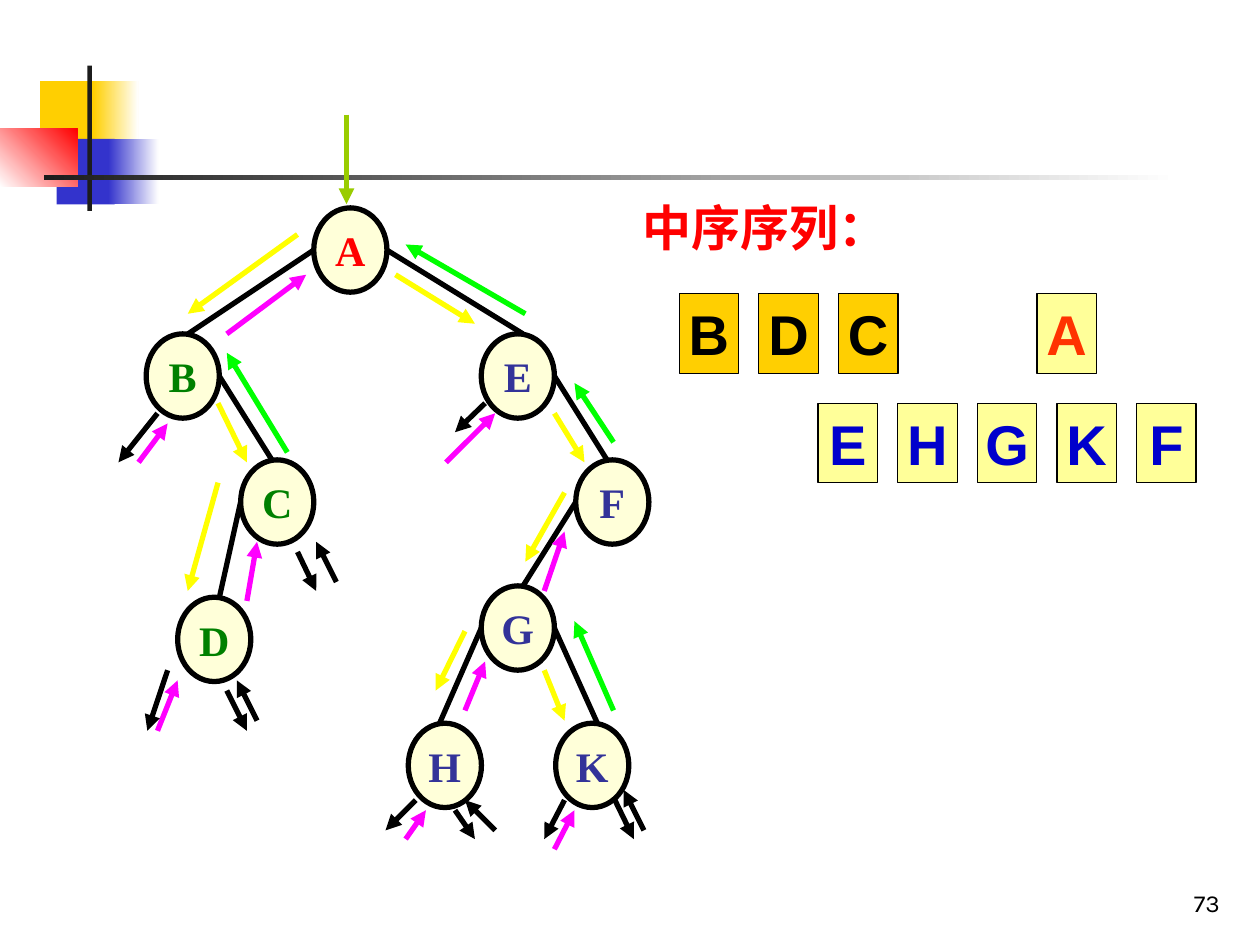
from lxml import etree
from pptx import Presentation
from pptx.dml.color import RGBColor
from pptx.enum.shapes import MSO_CONNECTOR as Link, MSO_SHAPE as Kind
from pptx.enum.text import MSO_ANCHOR as Anchor, PP_ALIGN as Align
from pptx.oxml.ns import qn
from pptx.util import Pt


class Theme:
    black, white, dark = "000000", "FFFFFF", "1C1C1C"
    gold, blue, red = "FFCF01", "3333CC", "FF0000"
    cream, pale = "FFFFD9", "FFFF99"
    left, right = "008000", "333399"
    root, ink = "FF3300", "0000CC"
    down, up, back, start = "FFFF00", "FF00FF", "00FF00", "99CC00"
    node, title, cell, page = 24, 28, 32, 14
    serif, sans, small = "Times New Roman", "Arial", "Karla"


def add_shape(kind, box, fill, line=None):
    """Add a shape with a plain fill, or a (from, to, angle) gradient."""
    shape = slide.shapes.add_shape(kind, *map(Pt, box))
    shape.shadow.inherit = False
    if isinstance(fill, tuple):
        shape.fill.gradient()
        shape.fill.gradient_angle = fill[2]
        for stop, tone in zip(shape.fill.gradient_stops, fill):
            stop.color.rgb = RGBColor.from_string(tone)
    else:
        shape.fill.solid()
        shape.fill.fore_color.rgb = RGBColor.from_string(fill)
    if line:
        shape.line.width = Pt(line)
        shape.line.color.rgb = RGBColor.from_string(Theme.black)
    else:
        shape.line.fill.background()
    return shape


def write(shape, text, face, size, tone, bold=True, align=Align.CENTER,
          anchor=Anchor.MIDDLE, wrap=False):
    frame = shape.text_frame
    frame.text = text
    frame.word_wrap = wrap
    frame.vertical_anchor = anchor
    line = frame.paragraphs[0]
    line.alignment = align
    font = line.runs[0].font
    font.name, font.size, font.bold = face, Pt(size), bold
    font.color.rgb = RGBColor.from_string(tone)


deck = Presentation()
deck.slide_width, deck.slide_height = Pt(720), Pt(540)
slide = deck.slides.add_slide(deck.slide_layouts[6])

# Corner squares and rules
for box, fill in [
    ((23, 46.3, 34.6, 37.4), Theme.gold),
    ((53.3, 46.3, 25.9, 37.4), (Theme.gold, Theme.white, 0)),
    ((32.4, 79.4, 33.1, 37.4), Theme.blue),
    ((62, 79.4, 28.7, 37.4), (Theme.blue, Theme.white, 0)),
    ((0, 73.5, 44.2, 33.3), (Theme.white, Theme.red, 45)),
    ((50, 37.6, 2.5, 83), Theme.dark),
    ((25.2, 100.3, 648, 2.6), (Theme.dark, Theme.white, 0)),
]:
    add_shape(Kind.RECTANGLE, box, fill)

# Tree nodes
wide, high = 41.8, 48.2
nodes = {
    "A": (179.3, 118.8, Theme.red),
    "B": (83.5, 190.8, Theme.left),
    "C": (137.5, 262.8, Theme.left),
    "D": (101.5, 341.3, Theme.left),
    "E": (275, 190.8, Theme.right),
    "F": (329, 262.8, Theme.right),
    "G": (275, 334.8, Theme.right),
    "H": (233.3, 413.3, Theme.right),
    "K": (317.5, 413.3, Theme.right),
}
for name, (x, y, tone) in nodes.items():
    node = add_shape(Kind.OVAL, (x, y, wide, high), Theme.cream, 3)
    write(node, name, Theme.serif, Theme.node, tone)

# In-order sequence
title = slide.shapes.add_textbox(Pt(360), Pt(109.4), Pt(204), Pt(41))
write(title, "中序序列：", Theme.serif, Theme.title, Theme.red,
      align=Align.LEFT, anchor=Anchor.TOP, wrap=True)
for names, x, y, fill, tone in [
    ("BDC", 388.1, 167.8, Theme.gold, Theme.black),
    ("A", 592.5, 167.8, Theme.pale, Theme.root),
    ("EHGKF", 467.5, 230.4, Theme.pale, Theme.ink),
]:
    for i, name in enumerate(names):
        cell = add_shape(Kind.RECTANGLE, (x + 45.5 * i, y, 34, 45.5), fill, 0.75)
        write(cell, name, Theme.sans, Theme.cell, tone)

# Edges run from the side of the parent to the top of the child
strokes = []
for top, low, shift in [("A", "B", 3), ("B", "C", -3), ("C", "D", 3), ("A", "E", 3),
                        ("E", "F", -3), ("F", "G", 3), ("G", "H", -3), ("G", "K", 3)]:
    (px, py, _), (cx, cy, _) = nodes[top], nodes[low]
    side = px + wide if cx > px else px
    ends = (side, py + high / 2, cx + wide / 2 + shift, cy)
    strokes.append((Theme.black, ends, False))

# Walk around the tree
walk = {
    Theme.down: [
        (170, 134, 107.3, 179.3), (124.6, 230.4, 141.1, 264.2),
        (124.6, 275.8, 107.3, 337.7), (226, 157, 271.4, 185),
        (316.8, 236.2, 334, 264.2), (322.6, 281.5, 300.2, 321),
        (265.7, 360.7, 249, 394.6), (311, 383, 322.6, 411.8),
    ],
    Theme.up: [
        (265.7, 406, 277.2, 378), (311, 337.7, 322.6, 303.8),
        (141.1, 343.4, 146.9, 309.6), (129.6, 190.8, 175, 157),
        (90, 417.6, 101.5, 388.8), (231.8, 479.5, 243.4, 463),
        (316.8, 485.3, 328.3, 463), (79.2, 264.2, 95.8, 242),
        (254.9, 264.2, 283, 236.2),
    ],
    Theme.back: [
        (350.6, 406, 328.3, 355), (350.6, 252.7, 328.3, 218.9),
        (300.2, 179.3, 231.8, 139.7), (164.2, 258.5, 129.6, 201.6),
    ],
    Theme.start: [(198, 65.5, 198, 116.6)],
    Theme.black: [
        (95.8, 383, 84.2, 417.6), (129.6, 394.6, 141.1, 417.6),
        (146.9, 411.8, 135.4, 388.8), (170, 315.4, 180.7, 337.7),
        (192.2, 332.6, 180.7, 309.6), (237.6, 457.2, 220.3, 474.5),
        (260, 463, 271.4, 479.5), (283, 474.5, 265.7, 457.2),
        (322.6, 457.2, 311, 479.5), (351.4, 457.2, 362.2, 479.5),
        (368, 474.5, 356.4, 451.4), (90, 236.2, 67.7, 264.2),
        (277.2, 230.4, 260, 247),
    ],
}
strokes += [(tone, ends, True) for tone, lines in walk.items() for ends in lines]
for tone, ends, tip in strokes:
    line = slide.shapes.add_connector(Link.STRAIGHT, *map(Pt, ends))
    line.line.width = Pt(3)
    line.line.color.rgb = RGBColor.from_string(tone)
    if tip:
        etree.SubElement(line.line._get_or_add_ln(), qn("a:tailEnd"), type="triangle")
    etree.SubElement(line._element.spPr, qn("a:effectLst"))

# Page number
page = slide.shapes.add_textbox(Pt(554.4), Pt(491.8), Pt(149.8), Pt(36))
write(page, "73", Theme.small, Theme.page, Theme.black, bold=False,
      align=Align.RIGHT, anchor=Anchor.BOTTOM, wrap=True)
page.text_frame.paragraphs[0].line_spacing = 0.8

deck.save("out.pptx")
